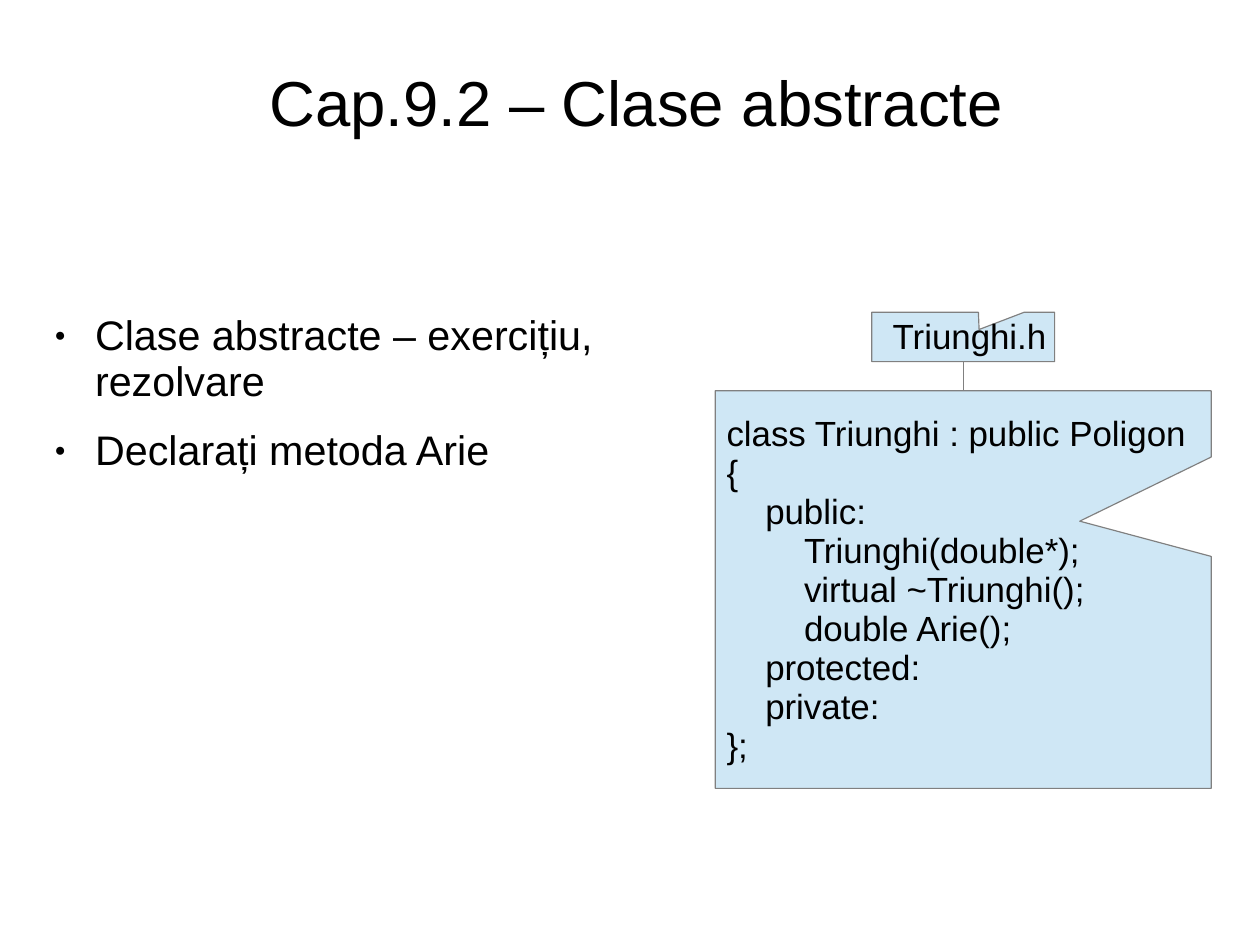
from lxml import etree
from pptx import Presentation
from pptx.dml.color import RGBColor
from pptx.enum.shapes import MSO_CONNECTOR, MSO_SHAPE
from pptx.enum.text import MSO_ANCHOR, MSO_AUTO_SIZE, PP_ALIGN
from pptx.oxml.ns import qn
from pptx.util import Pt

CALLOUT = MSO_SHAPE.RECTANGULAR_CALLOUT
STRAIGHT = MSO_CONNECTOR.STRAIGHT
TOP, MIDDLE = MSO_ANCHOR.TOP, MSO_ANCHOR.MIDDLE
NO_FIT = MSO_AUTO_SIZE.NONE
LEFT, CENTER = PP_ALIGN.LEFT, PP_ALIGN.CENTER
BLACK, GREY, PALE_BLUE = "000000", "808080", "CFE7F5"
INDENT_STEP = 24.4


def color(value):
    return RGBColor.from_string(value)


def write(shape, lines, size, align, anchor, insets):
    frame = shape.text_frame
    frame_format = {
        "word_wrap": True,
        "auto_size": NO_FIT,
        "vertical_anchor": anchor,
        "margin_left": Pt(insets[0]),
        "margin_top": Pt(insets[1]),
        "margin_right": Pt(insets[2]),
        "margin_bottom": Pt(insets[3]),
    }
    for name, value in frame_format.items():
        setattr(frame, name, value)
    frame.text = "\n".join(lines)
    for paragraph in frame.paragraphs:
        paragraph.alignment = align
        paragraph.line_spacing = 0.93
        font = paragraph.runs[0].font
        for name, value in {"name": "Arial", "size": Pt(size)}.items():
            setattr(font, name, value)
        font.color.rgb = color(BLACK)
    return frame.paragraphs


prs = Presentation()
prs.slide_width, prs.slide_height = Pt(793.75), Pt(595.25)
slide = prs.slides.add_slide(prs.slide_layouts[5])
shapes = slide.shapes

title = shapes.title
title_box = {"left": 25.9, "top": 20.2, "width": 749.5, "height": 89.3}
for name, value in title_box.items():
    setattr(title, name, Pt(value))
write(title, ["Cap.9.2 – Clase abstracte"], 40, CENTER, MIDDLE, (0, 2.9, 0, 0))

tasks = shapes.add_textbox(Pt(25.9), Pt(195.5), Pt(391.7), Pt(322.6))
task_lines = ["Clase abstracte – exercițiu, rezolvare", "Declarați metoda Arie"]
for paragraph in write(tasks, task_lines, 26, LEFT, TOP, (0, 2.2, 0, 0)):
    paragraph.space_after = Pt(14.1)
    properties = paragraph._p.get_or_add_pPr()
    properties.set("marL", str(Pt(34)))
    properties.set("indent", str(Pt(-25.4)))
    bullet_color = etree.SubElement(properties, qn("a:buClr"))
    etree.SubElement(bullet_color, qn("a:srgbClr"), val=BLACK)
    etree.SubElement(properties, qn("a:buSzPct"), val="45000")
    etree.SubElement(properties, qn("a:buFont"), typeface="Arial")
    etree.SubElement(properties, qn("a:buChar"), char="●")

header_lines = [(0.25, "Triunghi.h")]
class_lines = [
    (0, "class Triunghi : public Poligon"),
    (0, "{"),
    (1, "public:"),
    (2, "Triunghi(double*);"),
    (2, "virtual ~Triunghi();"),
    (2, "double Arie();"),
    (1, "protected:"),
    (1, "private:"),
    (0, "};"),
]
callouts = []
for box, notch, lines in [
    ((549.2, 196.7, 115.2, 31.1), (0.087, -0.15), header_lines),
    ((450.6, 246.2, 312.4, 250.4), (0.235, -0.172), class_lines),
]:
    callout = shapes.add_shape(CALLOUT, *map(Pt, box))
    callout.shadow.inherit = False
    callout.adjustments[0], callout.adjustments[1] = notch
    callout.fill.solid()
    callout.fill.fore_color.rgb = color(PALE_BLUE)
    callout.line.color.rgb = color(GREY)
    callout.line.width = Pt(0.75)
    paragraphs = write(
        callout, [text for _, text in lines], 22, LEFT, MIDDLE, (7.2, 5, 0, 3.6)
    )
    for paragraph, (level, _) in zip(paragraphs, lines):
        properties = paragraph._p.get_or_add_pPr()
        properties.set("marL", str(Pt(level * INDENT_STEP)))
        properties.set("indent", "0")
    callouts.append(callout)

header_file, class_code = callouts
link = shapes.add_connector(STRAIGHT, Pt(606.8), Pt(227.8), Pt(606.8), Pt(246.2))
link.begin_connect(header_file, 2)
link.end_connect(class_code, 0)
link.line.color.rgb = color(GREY)
link.line.width = Pt(0.75)
etree.SubElement(link._element.spPr, qn("a:effectLst"))

prs.save("out.pptx")
